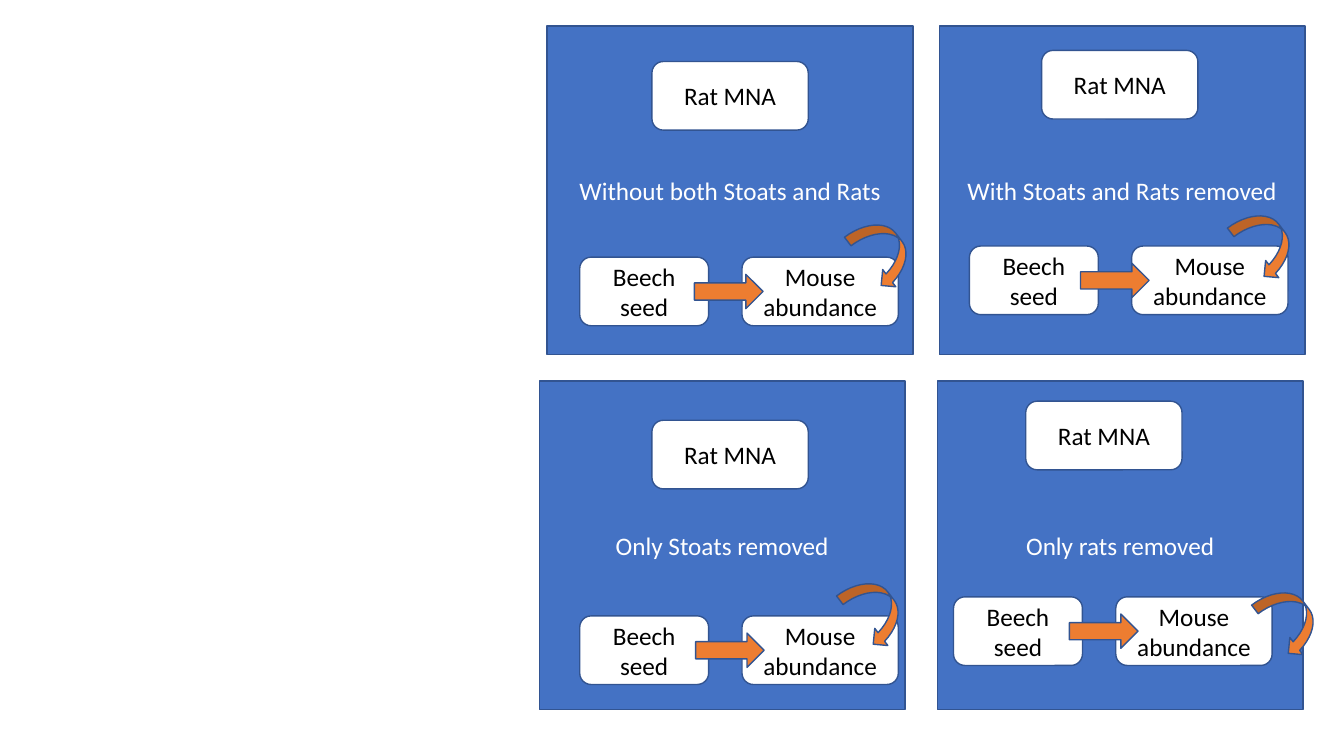
import pptx
import pptx.util
from pptx.dml.color import RGBColor
from pptx.enum.shapes import MSO_SHAPE
from pptx.enum.text import MSO_ANCHOR, PP_ALIGN
from pptx.util import Cm, Pt

BLUE = RGBColor(0x44, 0x72, 0xC4)
DARK_BLUE = RGBColor(0x32, 0x54, 0x91)
ORANGE = RGBColor(0xED, 0x7D, 0x31)
WHITE = RGBColor(0xFF, 0xFF, 0xFF)
BLACK = RGBColor(0x00, 0x00, 0x00)

BOX_H = 1.73

prs = pptx.Presentation()
prs.slide_width = Cm(33.87)
prs.slide_height = Cm(19.05)
s = prs.slides.add_slide(prs.slide_layouts[6])


def add_outlined(kind, x, y, w, h, fill, text="", color=BLACK):
    """Add a filled, outlined shape, measured in cm, with optional centred text."""
    sp = s.shapes.add_shape(kind, Cm(x), Cm(y), Cm(w), Cm(h))
    sp.shadow.inherit = False
    sp.fill.solid()
    sp.fill.fore_color.rgb = fill
    sp.line.color.rgb = DARK_BLUE
    sp.line.width = Pt(1)
    if text:
        tf = sp.text_frame
        tf.word_wrap = True
        tf.vertical_anchor = MSO_ANCHOR.MIDDLE
        p = tf.paragraphs[0]
        p.alignment = PP_ALIGN.CENTER
        r = p.add_run()
        r.text = text
        r.font.name = "Calibri"
        r.font.size = Pt(18)
        r.font.color.rgb = color
    return sp


# caption, panel corner, seed box corner, arrow left edge, curved arrow corner
scenarios = [
    ("Only rats removed", (23.62, 9.6), (24.03, 15.04), 26.95, (31.62, 15.09)),
    ("Only Stoats removed", (13.59, 9.6), (14.61, 15.52), 17.53, (21.16, 14.86)),
    ("With Stoats and Rats removed", (23.67, 0.66), (24.43, 6.2), 27.23, (31.01, 5.59)),
    ("Without both Stoats and Rats", (13.79, 0.66), (14.61, 6.48), 17.5, (21.36, 5.82)),
]

# label, offset from the seed box, width
boxes = [
    ("Beech seed", 0, 0, 3.25),
    ("Mouse abundance", 4.09, 0, 3.94),
    ("Rat MNA", 1.82, -4.93, 3.94),
]

for caption, panel, seed, arrow_x, curve in scenarios:
    add_outlined(MSO_SHAPE.RECTANGLE, *panel, 9.22, 8.28, BLUE, caption, WHITE)
    seed_x, seed_y = seed
    for label, dx, dy, width in boxes:
        add_outlined(MSO_SHAPE.ROUNDED_RECTANGLE, seed_x + dx, seed_y + dy,
                     width, BOX_H, WHITE, label)
    add_outlined(MSO_SHAPE.RIGHT_ARROW, arrow_x, seed_y + BOX_H / 4,
                 BOX_H, BOX_H / 2, ORANGE)
    sp = add_outlined(MSO_SHAPE.CURVED_DOWN_ARROW, *curve, 1.8, 1.09, ORANGE)
    sp.rotation = 52.7

prs.save("out.pptx")
